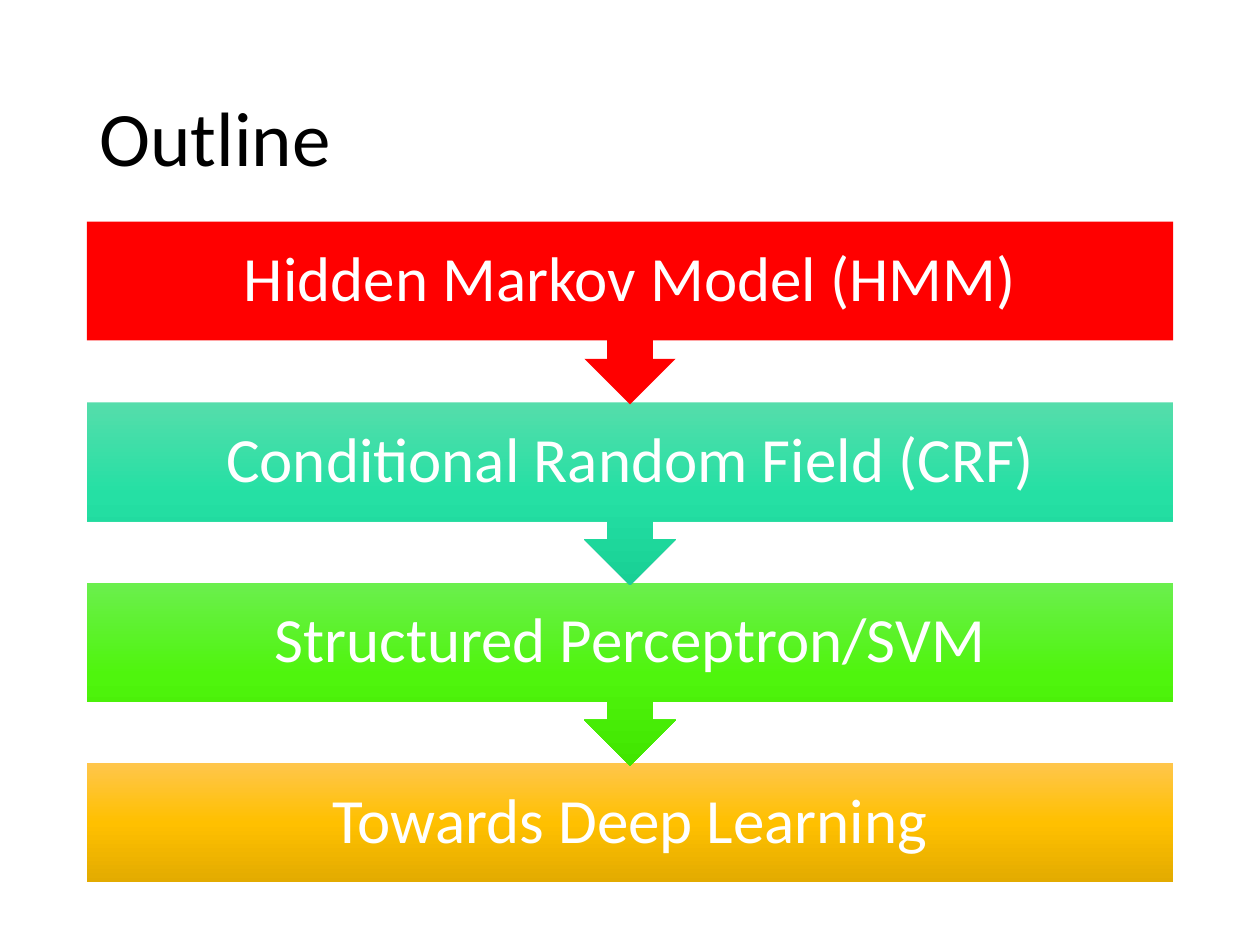
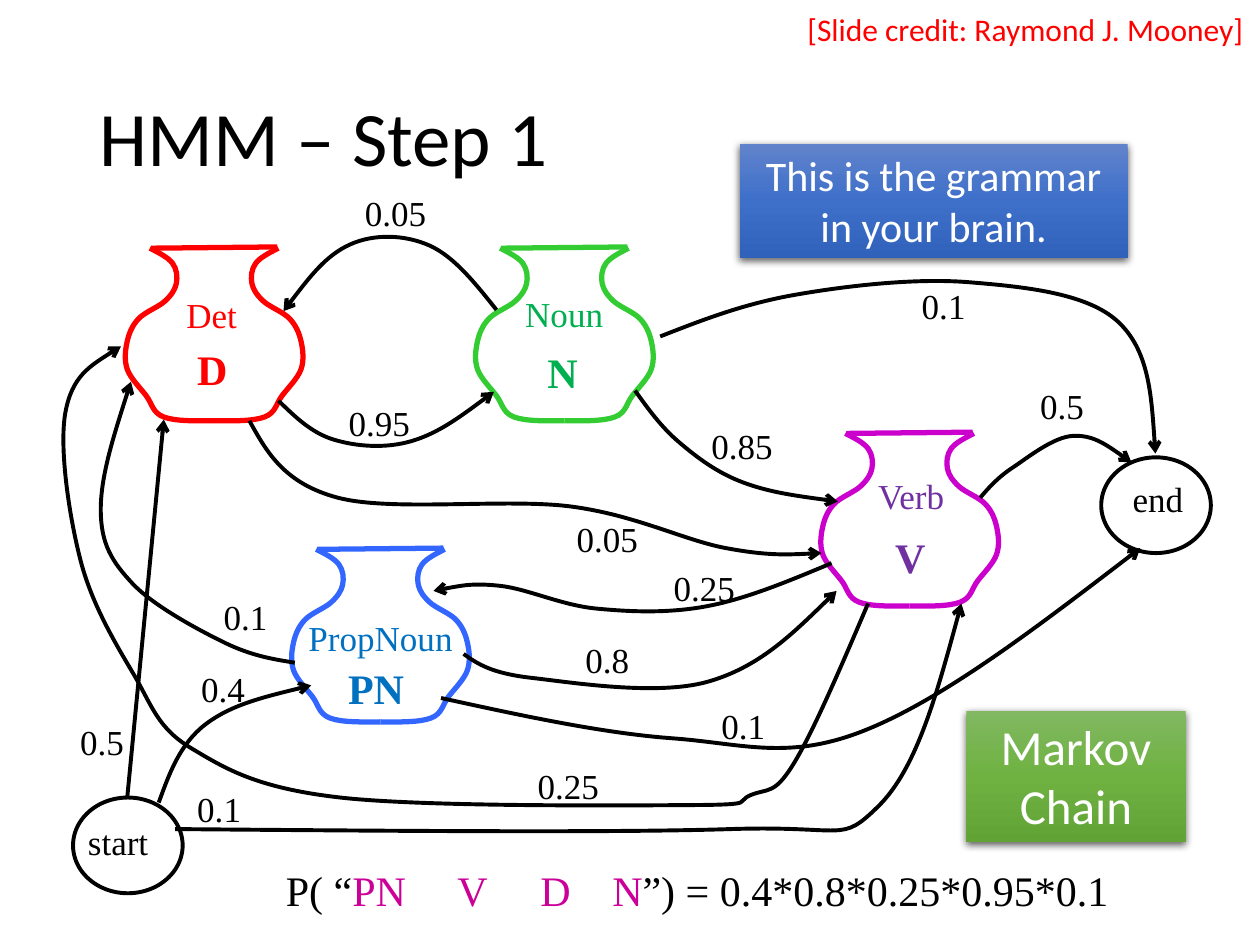
import copy

from lxml import etree
from pptx import Presentation
from pptx import util as u
from pptx.dml.color import RGBColor
from pptx.enum import shapes, text
from pptx.oxml.ns import qn

# ---------- content ----------
COLOURS = {
    "black": "000000", "white": "FFFFFF", "red": "FF0000", "tag": "CC0099",
    "noun": "00B050", "noun vase": "33CC33",
    "verb": "7030A0", "verb vase": "CC00CC",
    "proper": "0070C0", "proper vase": "3366FF",
}
GRADIENTS = {
    "teal": ("55DDAB", "25E0A4", "18D095"),
    "lime": ("6BEF4D", "4FF50D", "41E500"),
    "gold": ("FFC64B", "FFC000", "E3AB00"),
    "blue": ("6183CB", "3E70CA", "3062BB"),
    "green": ("81B861", "6FB242", "62A336"),
}
SANS, SERIF = "Calibri", "Times New Roman"
SLIDE_W, SLIDE_H = 10, 7.5
MARGIN = 0.69
CONTENT_W = SLIDE_W - 2 * MARGIN

TOPICS = [
    ("Hidden Markov Model (HMM)", "red"),
    ("Conditional Random Field (CRF)", "teal"),
    ("Structured Perceptron/SVM", "lime"),
    ("Towards Deep Learning", "gold"),
]
TOPICS_TOP, TOPICS_BOTTOM, TOPIC_H, CALLOUT_H = 1.76, 7, 0.94, 1.45
TOPIC_PITCH = (TOPICS_BOTTOM - TOPIC_H - TOPICS_TOP) / (len(TOPICS) - 1)

# Left half of a vase, measured from the middle of its rim
VASE_SIDE = [(-0.51, 0), (-0.33, 0.12), (-0.3, 0.28), (-0.39, 0.42), (-0.6, 0.56),
             (-0.69, 0.74), (-0.69, 0.96), (-0.54, 1.17), (-0.4, 1.34), (0, 1.37)]
RIM = 0.5

# rim middle, vase colour, text colour, (name, left, top, width), (tag, left, top, width)
VASES = [
    ((3.02, 4.36), "proper vase", "proper",
     ("PropNoun", 2.35, 4.84, 1.44), ("PN", 2.66, 5.21, 0.65)),
    ((1.7, 1.97), "red", "red", ("Det", 1.38, 2.28, 0.62), ("D", 1.46, 2.68, 0.45)),
    ((4.48, 1.97), "noun vase", "noun",
     ("Noun", 4.07, 2.27, 0.86), ("N", 4.24, 2.7, 0.45)),
    ((7.22, 3.44), "verb vase", "verb",
     ("Verb", 6.87, 3.72, 0.78), ("V", 7, 4.17, 0.45)),
]
# ellipse corner, label
TERMINALS = [
    ((8.74, 3.63), ("end", 8.89, 3.74, 0.6)),
    ((0.58, 6.33), ("start", 0.6, 6.46, 0.76)),
]
TERMINAL_SIZE = (0.87, 0.76)

# probability, its corner, points that the arrow passes through
TRANSITIONS = [
    ("0.95", (2.66, 3.14), [(2.21, 3.18), (2.65, 3.49), (3.27, 3.5), (3.92, 3.11)]),
    ("0.85", (5.54, 3.32), [(5.04, 3.1), (5.39, 3.51), (5.9, 3.83), (6.65, 3.98)]),
    ("0.05", (2.79, 1.47), [(3.94, 2.46), (3.41, 1.95), (2.78, 1.94), (2.25, 2.47)]),
    ("0.05", (4.47, 4.06), [(1.98, 3.34), (2.68, 3.95), (4.53, 4.02), (5.76, 4.35),
                            (6.52, 4.39)]),
    ("0.5", (8.15, 3), [(7.78, 3.95), (8.04, 3.71), (8.52, 3.46), (8.98, 3.67)]),
    ("0.1", (7.21, 2.21), [(5.24, 2.67), (6.31, 2.34), (7.69, 2.24), (8.87, 2.55),
                           (9.17, 3.6)]),
    ("0.8", (4.54, 5.02), [(3.68, 5.19), (4.22, 5.38), (5.62, 5.41), (6.64, 4.69)]),
    ("0.1", (5.62, 5.54), [(3.5, 5.54), (5.34, 5.86), (6.88, 5.79), (9.05, 4.35)]),
    ("0.1", (1.67, 4.68), [(2.34, 5.26), (1.78, 5.1), (1.05, 4.63), (0.8, 4.05),
                           (1.04, 3.03)]),
    ("0.25", (4.16, 6.02), [(6.89, 4.79), (6.3, 6.06), (5.96, 6.31), (5.49, 6.39),
                            (2.7, 6.33), (1.52, 5.94), (1.06, 5.35), (0.64, 4.45),
                            (0.52, 3.27), (0.96, 2.75)]),
    ("0.25", (5.24, 4.45), [(6.6, 4.47), (5.62, 4.81), (4.73, 4.83), (3.97, 4.65),
                            (3.44, 4.69)]),
    ("0.4", (1.49, 5.25), [(1.26, 6.37), (1.63, 5.75), (2.47, 5.44)]),
    ("0.5", (0.53, 5.67), [(1.01, 6.33), (1.3, 3.33)]),
    ("0.1", (1.46, 6.2), [(1.39, 6.58), (5.8, 6.58), (6.97, 6.4), (7.63, 4.79)]),
]
FORMULA = [("P( “", "black"), ("PN\tV\tD\tN", "tag"),
           ("”) = 0.4*0.8*0.25*0.95*0.1", "black")]
FORMULA_TABS = (1.36, 2.02, 2.59)
NOTES = [
    ("This is the grammar in your brain.", (5.87, 1.14, 3.08, 0.91), 24, "blue"),
    ("Markov Chain", (7.67, 5.64, 1.74, 1.04), 28, "green"),
]
CREDIT = ("[Slide credit: Raymond J. Mooney]", 6.31, 0.03, 3.7)


# ---------- helpers ----------
def rgb(name):
    return RGBColor.from_string(COLOURS.get(name, name))


def inches(*lengths):
    return [u.Inches(length) for length in lengths]


def write(frame, runs, size, font=SERIF, align="CENTER", bold=False):
    """Fill the first paragraph with (words, colour) runs."""
    paragraph = frame.paragraphs[0]
    paragraph.alignment = getattr(text.PP_ALIGN, align)
    for words, colour in runs:
        run = paragraph.add_run()
        run.text = words
        run.font.size, run.font.name, run.font.bold = u.Pt(size), font, bold
        run.font.color.rgb = rgb(colour)
    return paragraph


def label(slide, place, colour="black", size=20, **style):
    words, left, top, width = place
    height = size / 60 + 0.1
    frame = slide.shapes.add_textbox(*inches(left, top, width, height)).text_frame
    frame.word_wrap = False
    frame.auto_size = text.MSO_AUTO_SIZE.SHAPE_TO_FIT_TEXT
    write(frame, [(words, colour)], size, **style)


def paint(shape, fill):
    """Fill with a plain colour or a top-to-bottom gradient, with no outline."""
    shape.shadow.inherit = False
    shape.line.fill.background()
    if fill not in GRADIENTS:
        shape.fill.solid()
        shape.fill.fore_color.rgb = rgb(fill)
        return
    shape.fill.gradient()
    shape.fill.gradient_angle = 270
    stops = next(shape._element.spPr.iter(qn("a:gsLst")))
    stops.append(copy.deepcopy(stops[0]))
    for i, (stop, colour) in enumerate(zip(shape.fill.gradient_stops, GRADIENTS[fill])):
        stop.color.rgb = rgb(colour)
        stop.position = i / 2


def drop_shadow(shape):
    effects = shape._element.spPr.find(qn("a:effectLst"))
    outer = etree.SubElement(effects, qn("a:outerShdw"), blurRad=str(u.Pt(4.5)),
                             dist=str(u.Pt(1.5)), dir="5400000", rotWithShape="0")
    black = etree.SubElement(outer, qn("a:srgbClr"), val=COLOURS["black"])
    etree.SubElement(black, qn("a:alpha"), val="63000")


def stroke(shape, colour="black", width=2.25, arrow=False):
    shape.line.color.rgb = rgb(colour)
    shape.line.width = u.Pt(width)
    if arrow:
        etree.SubElement(shape.line._get_or_add_ln(), qn("a:tailEnd"), type="arrow")


def straight(parent, start, end, **style):
    line = parent.add_connector(shapes.MSO_CONNECTOR.STRAIGHT, *inches(*start, *end))
    etree.SubElement(line._element.spPr, qn("a:effectLst"))
    stroke(line, **style)


def spline(knots):
    """Bezier points of a smooth curve through the knots: two handles, then a knot."""
    last = len(knots) - 1

    def handle(i, sign):
        return tuple(k + sign * (after - before) / 6 for before, k, after
                     in zip(knots[i - 1], knots[i], knots[i + 1]))

    def middle(a, b):
        return tuple((p + q) / 2 for p, q in zip(a, b))

    points = []
    for i in range(last):
        leave = handle(i, 1) if i > 0 else None
        reach = handle(i + 1, -1) if i + 1 < last else None
        points += [leave or middle(knots[i], reach),
                   reach or middle(leave, knots[i + 1]), knots[i + 1]]
    return points


def curve(parent, knots, **style):
    builder = parent.build_freeform(*inches(*knots[0]))
    builder.add_line_segments([inches(*point) for point in spline(knots)], close=False)
    shape = builder.convert_to_shape()
    segments = list(shape._element.spPr.iter(qn("a:lnTo")))
    for i in range(0, len(segments), 3):
        bezier = etree.Element(qn("a:cubicBezTo"))
        segments[i].addprevious(bezier)
        for segment in segments[i:i + 3]:
            bezier.append(segment[0])
            segment.getparent().remove(segment)
    shape.shadow.inherit = False
    shape.fill.background()
    stroke(shape, **style)


def vase(slide, middle, colour):
    x, y = middle
    parts = slide.shapes.add_group_shape().shapes
    for side in (1, -1):
        curve(parts, [(x + side * dx, y + dy) for dx, dy in VASE_SIDE],
              colour=colour, width=3)
    straight(parts, (x - RIM, y), (x + RIM, y - 0.01), colour=colour, width=3)


def titled_slide(deck, words):
    slide = deck.slides.add_slide(deck.slide_layouts[5])
    title = slide.shapes.title
    title.left, title.top, title.width, title.height = inches(MARGIN, 0.4, CONTENT_W, 1.45)
    title.text_frame.vertical_anchor = text.MSO_ANCHOR.MIDDLE
    write(title.text_frame, [(words, "black")], 44, SANS, "LEFT").line_spacing = 0.9
    return slide


# ---------- slides ----------
def outline(deck):
    slide = titled_slide(deck, "Outline")
    last = len(TOPICS) - 1
    for i in range(last, -1, -1):
        words, fill = TOPICS[i]
        kind, height = ((shapes.MSO_SHAPE.RECTANGLE, TOPIC_H) if i == last
                        else (shapes.MSO_SHAPE.DOWN_ARROW_CALLOUT, CALLOUT_H))
        topic = slide.shapes.add_shape(
            kind, *inches(MARGIN, TOPICS_TOP + i * TOPIC_PITCH, CONTENT_W, height))
        paint(topic, fill)
        frame = topic.text_frame
        frame.vertical_anchor = text.MSO_ANCHOR.MIDDLE
        frame.margin_left = frame.margin_right = u.Inches(0.28)
        write(frame, [(words, "white")], 36, SANS).line_spacing = 0.9


def formula(slide):
    frame = slide.shapes.add_textbox(*inches(2.01, 6.81, 7.04, 0.5)).text_frame
    frame.word_wrap = True
    frame.margin_left = u.Inches(0.26)
    paragraph = write(frame, FORMULA, 24, align="LEFT")
    tabs = etree.SubElement(paragraph._p.get_or_add_pPr(), qn("a:tabLst"))
    for stop in FORMULA_TABS:
        etree.SubElement(tabs, qn("a:tab"), pos=str(u.Inches(stop)), algn="l")


def markov_chain(deck):
    slide = titled_slide(deck, "HMM – Step 1")
    for middle, outline_colour, colour, name, tag in VASES:
        vase(slide, middle, outline_colour)
        label(slide, name, colour, align="LEFT")
        label(slide, tag, colour, 24, bold=True)
    for corner, name in TERMINALS:
        ring = slide.shapes.add_shape(shapes.MSO_SHAPE.OVAL,
                                      *inches(*corner, *TERMINAL_SIZE))
        ring.shadow.inherit = False
        ring.fill.background()
        stroke(ring)
        label(slide, name, align="LEFT" if name[0] == "start" else "CENTER")
    for chance, corner, knots in TRANSITIONS:
        if len(knots) == 2:
            straight(slide.shapes, *knots, arrow=True)
        else:
            curve(slide.shapes, knots, arrow=True)
        label(slide, (chance, *corner, 0.14 * (len(chance) + 1)))
    formula(slide)
    label(slide, CREDIT, "red", 18, font=SANS, align="LEFT")
    for words, box, size, fill in NOTES:
        note = slide.shapes.add_shape(shapes.MSO_SHAPE.RECTANGLE, *inches(*box))
        paint(note, fill)
        drop_shadow(note)
        note.text_frame.word_wrap = True
        note.text_frame.vertical_anchor = text.MSO_ANCHOR.TOP
        write(note.text_frame, [(words, "white")], size, SANS)


def main():
    deck = Presentation()
    deck.slide_width, deck.slide_height = inches(SLIDE_W, SLIDE_H)
    outline(deck)
    markov_chain(deck)
    deck.save("out.pptx")


if __name__ == "__main__":
    main()
